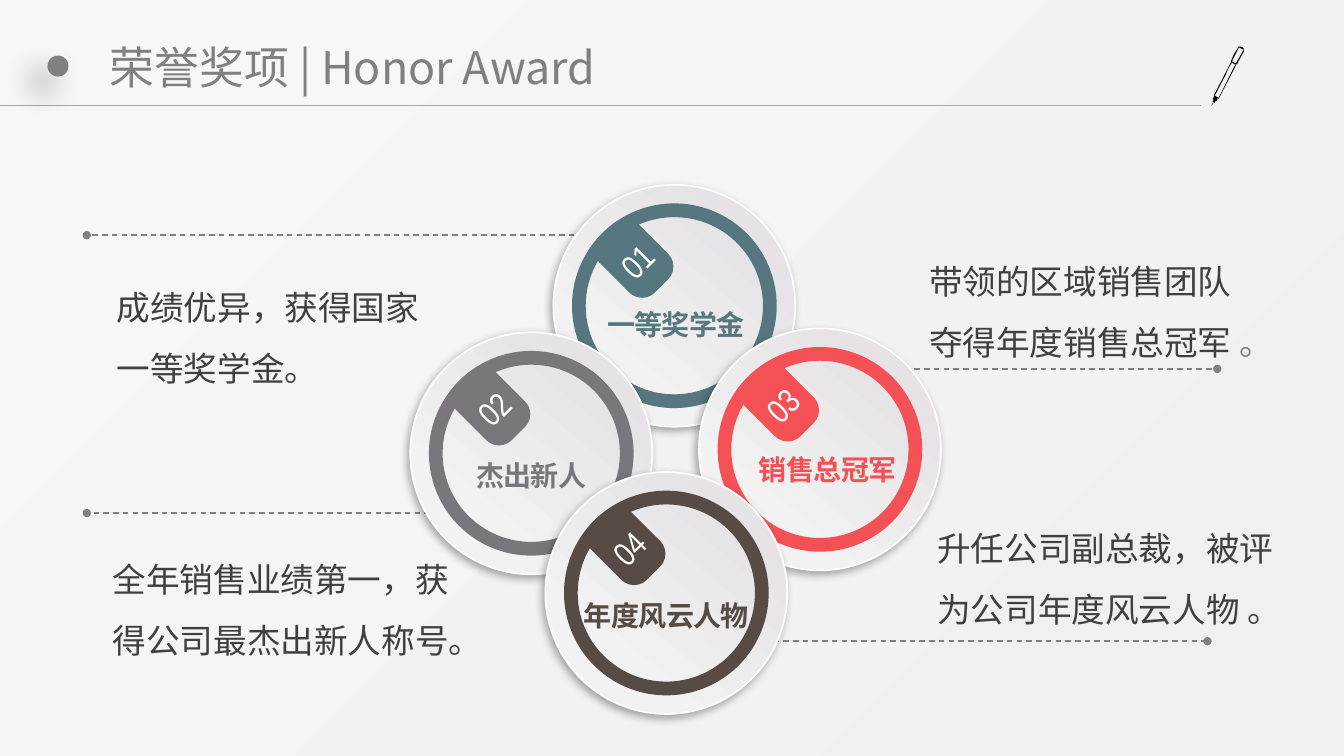
from dataclasses import dataclass

from lxml import etree
from pptx import Presentation
from pptx.dml.color import RGBColor
from pptx.enum.dml import MSO_LINE
from pptx.enum.shapes import MSO_CONNECTOR, MSO_SHAPE
from pptx.enum.text import MSO_ANCHOR, PP_ALIGN
from pptx.oxml.ns import qn
from pptx.util import Pt

OVAL, DONUT = MSO_SHAPE.OVAL, MSO_SHAPE.DONUT
TAB = MSO_SHAPE.ROUND_2_SAME_RECTANGLE
STRAIGHT, DASH = MSO_CONNECTOR.STRAIGHT, MSO_LINE.DASH
MIDDLE, CENTER = MSO_ANCHOR.MIDDLE, PP_ALIGN.CENTER


@dataclass(frozen=True)
class Theme:
    grey: str = "808080"
    rule: str = "A6A6A6"
    body: str = "404040"
    white: str = "FFFFFF"
    black: str = "000000"
    page: tuple = ((0, "F0F0F0"), (1, "F7F7F7"))
    plate: tuple = ((0, "E2DDE1"), (0.76, "F2F2F2"))
    teal: str = "56777F"
    red: str = "F45157"
    slate: str = "79777C"
    brown: str = "564B45"
    cjk_font: str = "Noto Sans CJK SC"
    body_font: str = "Arial"
    number_font: str = "Arial Narrow"
    title_size: int = 32
    text_size: int = 24
    label_size: int = 20


THEME = Theme()

# Number, label, colour, centre x and y, label shift x and y; from back to front
MEDALS = (
    ("01", "一等奖学金", THEME.teal, 481.7, 218.4, 1, 14),
    ("03", "销售总冠军", THEME.red, 585.7, 321, 5.5, 15),
    ("02", "杰出新人", THEME.slate, 379.5, 323.8, 0, 16),
    ("04", "年度风云人物", THEME.brown, 476, 423.6, 0, 16.5),
)
# From x, to x, y; the free end comes last
LEADERS = (
    (419.8, 62, 168),
    (309.6, 62, 366.5),
    (643.7, 869.5, 263.5),
    (550, 862.5, 458),
)
# Left, top, width, height, runs with colours
STORIES = (
    (76.3, 187.2, 250, 89.3, (("成绩优异，获得国家一等奖学金。", THEME.body),)),
    (73.4, 381.6, 264.2, 89.3, (("全年销售业绩第一，获得公司最杰出新人称号。", THEME.body),)),
    (656.6, 168.5, 251.3, 94.3,
     (("带领的区域销售团队夺得年度销售总冠军 ", THEME.body), ("。", THEME.grey))),
    (662.4, 359.3, 272.2, 143.3, (("升任公司副总裁，被评为公司年度风云人物 。", THEME.body),)),
)
# Pen outline and its two hollows, in hundredths of an inch
PEN = (
    ((32, 3), (31, 1), (27, 0), (22, 8), (19, 15), (19, 16), (2, 49), (3, 49), (1, 52),
     (2, 53), (1, 55), (2, 55), (0, 58), (0, 59), (2, 55), (3, 56), (4, 54), (5, 54),
     (6, 51), (7, 52), (24, 19), (24, 18), (25, 18), (30, 8), (31, 6), (26, 15),
     (26, 16), (32, 5)),
    ((23, 19), (7, 51), (3, 49), (14, 28), (16, 23), (20, 16), (23, 18), (24, 18)),
    ((24, 17), (20, 15), (27, 1), (31, 3), (32, 3)),
)


def rgb(value):
    return RGBColor.from_string(value)


def paint_gradient(fill, stops, clockwise_angle):
    fill.gradient()
    fill.gradient_angle = 360 - clockwise_angle
    for stop, (position, color) in zip(fill.gradient_stops, stops):
        stop.position = position
        stop.color.rgb = rgb(color)


def paint_solid(shape, color):
    shape.shadow.inherit = False
    shape.fill.solid()
    shape.fill.fore_color.rgb = rgb(color)
    shape.line.fill.background()


def cast_shadow(shape, opacity, blur, distance):
    """Give the shape a black shadow towards the lower left."""
    shape.shadow.inherit = False
    effects = shape._element.spPr.find(qn("a:effectLst"))
    outer = etree.SubElement(effects, qn("a:outerShdw"), blurRad=str(Pt(blur)),
                             dist=str(Pt(distance)), dir=str(135 * 60000),
                             algn="ctr", rotWithShape="0")
    color = etree.SubElement(outer, qn("a:srgbClr"), val=THEME.black)
    etree.SubElement(color, qn("a:alpha"), val=str(opacity * 1000))


def style_run(run, font, size, color, bold=False):
    run.font.name, run.font.size, run.font.bold = font, Pt(size), bold
    run.font.color.rgb = rgb(color)
    etree.SubElement(run._r.get_or_add_rPr(), qn("a:ea"), typeface=THEME.cjk_font)


def add_round(shapes, kind, x, y, diameter):
    """Add a round shape centred on x, y."""
    radius = diameter / 2
    return shapes.add_shape(kind, Pt(x - radius), Pt(y - radius), Pt(diameter), Pt(diameter))


def add_line(shapes, x1, x2, y, color, width):
    line = shapes.add_connector(STRAIGHT, Pt(x1), Pt(y), Pt(x2), Pt(y))
    line.line.color.rgb = rgb(color)
    line.line.width = Pt(width)
    etree.SubElement(line._element.spPr, qn("a:effectLst"))
    return line


def add_pen(shapes, left, top):
    first, *hollows = PEN
    builder = shapes.build_freeform(*first[0], scale=Pt(0.72))
    builder.add_line_segments(first[1:])
    for hollow in hollows:
        builder.move_to(*hollow[0])
        builder.add_line_segments(hollow[1:])
    paint_solid(builder.convert_to_shape(Pt(left), Pt(top)), THEME.black)


def add_header(shapes, width, height):
    add_line(shapes, 0, width - 102, height, THEME.rule, 0.75)
    dot = add_round(shapes, OVAL, 41.4, 47.2, 15)
    paint_solid(dot, THEME.grey)
    cast_shadow(dot, 40, 22, 15)
    add_pen(shapes, width - 94.5, 33.1)
    title = shapes.add_textbox(Pt(73.4), Pt(13.7), Pt(785.5), Pt(67.7)).text_frame
    title.word_wrap = True
    title.vertical_anchor = MIDDLE
    title.margin_left = title.margin_right = Pt(5)
    title.margin_top = title.margin_bottom = Pt(3)
    title.text = "荣誉奖项 | Honor Award"
    style_run(title.paragraphs[0].runs[0], THEME.cjk_font, THEME.title_size, THEME.grey)


def add_leader(shapes, start, end, y):
    leader = add_line(shapes, start, end, y, THEME.grey, 1)
    leader.line.dash_style = DASH
    for tip in ("a:headEnd", "a:tailEnd"):
        etree.SubElement(leader.line._get_or_add_ln(), qn(tip), type="oval")


def add_medal(shapes, number, name, color, x, y, shift_x, shift_y):
    """Group a plate, a ring, a numbered tab and a label around the centre x, y."""
    medal = shapes.add_group_shape().shapes
    plate = add_round(medal, OVAL, x, y, 172.8)
    paint_gradient(plate.fill, THEME.plate, 130)
    plate.line.color.rgb = rgb(THEME.white)
    plate.line.width = Pt(1.25)
    cast_shadow(plate, 32, 6, 3)

    ring = add_round(medal, DONUT, x, y, 146.2)
    ring.adjustments[0] = 0.067
    paint_solid(ring, color)

    tab_width, tab_height = 39.2, 47.6
    tab = medal.add_shape(TAB, Pt(x - 26 - tab_width / 2), Pt(y - 31 - tab_height / 2),
                          Pt(tab_width), Pt(tab_height))
    tab.adjustments[0], tab.adjustments[1] = 0.1, 0.33
    tab.rotation = 315
    paint_solid(tab, color)
    frame = tab.text_frame
    frame.margin_left = frame.margin_right = frame.margin_top = frame.margin_bottom = 0
    frame.word_wrap = False
    frame.vertical_anchor = MIDDLE
    frame.text = number
    frame.paragraphs[0].alignment = CENTER
    style_run(frame.paragraphs[0].runs[0], THEME.number_font, THEME.text_size, THEME.white)

    label_width = 14.4 + 19.7 * len(name)
    label = medal.add_textbox(Pt(x + shift_x - label_width / 2), Pt(y + shift_y - 16),
                              Pt(label_width), Pt(31.5)).text_frame
    label.word_wrap = False
    label.text = name
    label.paragraphs[0].alignment = CENTER
    run = label.paragraphs[0].runs[0]
    style_run(run, THEME.cjk_font, THEME.label_size, color, bold=True)
    run._r.get_or_add_rPr().set("spc", "-50")


def add_story(shapes, left, top, width, height, parts):
    frame = shapes.add_textbox(Pt(left), Pt(top), Pt(width), Pt(height)).text_frame
    frame.word_wrap = True
    paragraph = frame.paragraphs[0]
    paragraph.line_spacing = 1.5
    paragraph.space_after = Pt(4.5)
    for text, color in parts:
        run = paragraph.add_run()
        run.text = text
        style_run(run, THEME.body_font, THEME.text_size, color)


def main():
    deck = Presentation()
    deck.slide_width, deck.slide_height = Pt(960), Pt(540)
    slide = deck.slides.add_slide(deck.slide_layouts[6])
    paint_gradient(slide.background.fill, THEME.page, 225)
    add_header(slide.shapes, 960, 75.6)
    for add_part, rows in ((add_leader, LEADERS), (add_medal, MEDALS), (add_story, STORIES)):
        for row in rows:
            add_part(slide.shapes, *row)
    deck.save("out.pptx")


if __name__ == "__main__":
    main()
